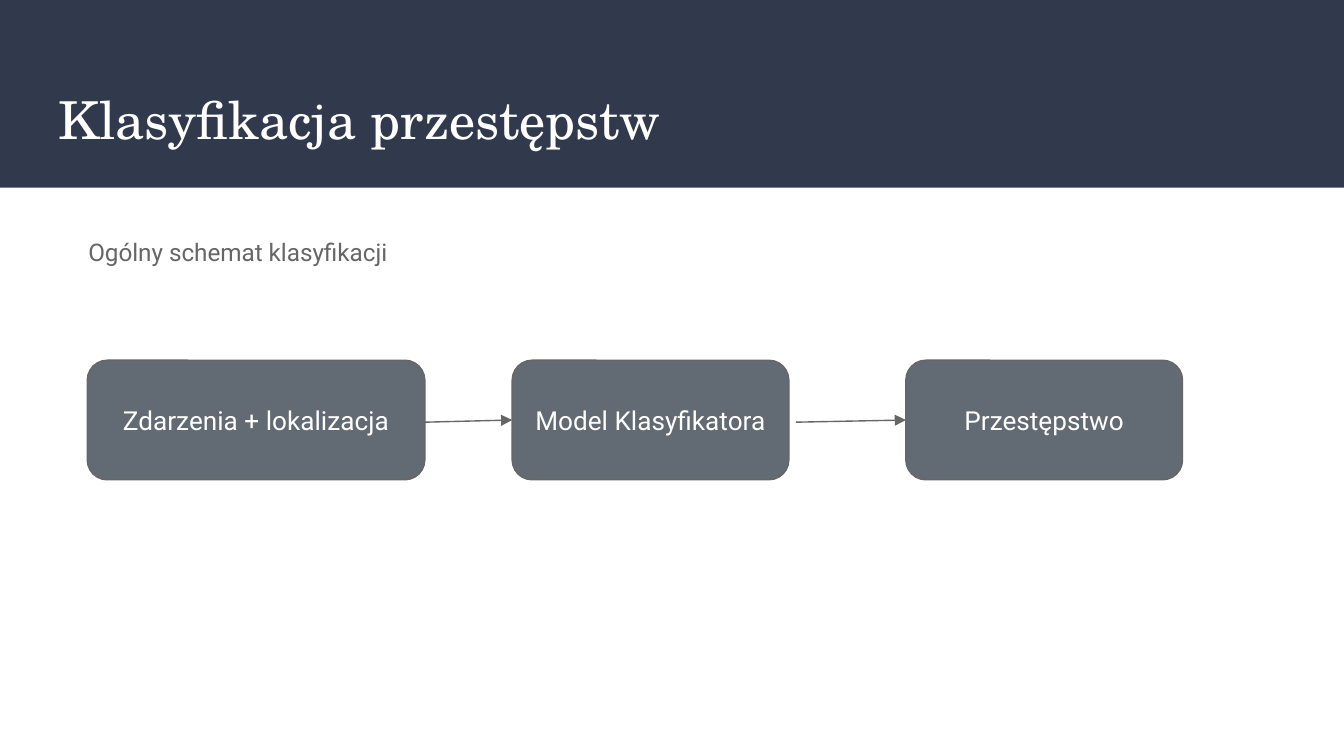
"""Build a slide showing the general scheme of crime classification."""
import pptx
import pptx.dml.color
import pptx.enum.shapes
import pptx.enum.text
import pptx.oxml.ns
import pptx.util
from lxml import etree
from pptx.util import Cm

NAVY = pptx.dml.color.RGBColor(0x31, 0x39, 0x4D)
SLATE = pptx.dml.color.RGBColor(0x62, 0x6B, 0x73)
GREY = pptx.dml.color.RGBColor(0x66, 0x66, 0x66)
WHITE = pptx.dml.color.RGBColor(0xFF, 0xFF, 0xFF)

SHAPE = pptx.enum.shapes.MSO_SHAPE
ALIGN = pptx.enum.text.PP_ALIGN
BODY_FONT = "Roboto"
TITLE_FONT = "TeX Gyre Schola"
LINE_WIDTH = pptx.util.Pt(0.75)

BOX_TOP = Cm(6.81)
BOX_HEIGHT = Cm(2.26)
ARROW_START_Y = Cm(7.98)
BOXES = [
    ("Zdarzenia + lokalizacja", Cm(1.65), Cm(6.38)),
    ("Model Klasyfikatora", Cm(9.68), Cm(5.23)),
    ("Przestępstwo", Cm(17.12), Cm(5.23)),
]
ARROW_STARTS = [Cm(8.03), Cm(15.04)]


def set_text(shape, text, font_name, size, color, alignment=ALIGN.LEFT):
    frame = shape.text_frame
    frame.word_wrap = True
    frame.margin_left = frame.margin_right = Cm(0.25)
    frame.margin_top = frame.margin_bottom = Cm(0.25)
    frame.text = text
    paragraph = frame.paragraphs[0]
    paragraph.alignment = alignment
    font = paragraph.runs[0].font
    font.name = font_name
    font.size = pptx.util.Pt(size)
    font.color.rgb = color


def add_text(slide, text, left, top, width, height, font_name, size, color):
    shape = slide.shapes.add_textbox(left, top, width, height)
    set_text(shape, text, font_name, size, color)


def add_header_band(slide, width):
    band = slide.shapes.add_shape(SHAPE.RECTANGLE, 0, 0, width, Cm(3.55))
    band.shadow.inherit = False
    band.fill.solid()
    band.fill.fore_color.rgb = NAVY
    band.line.fill.background()


def add_box(slide, text, left, width):
    box = slide.shapes.add_shape(
        SHAPE.ROUNDED_RECTANGLE, left, BOX_TOP, width, BOX_HEIGHT)
    box.shadow.inherit = False
    box.fill.solid()
    box.fill.fore_color.rgb = SLATE
    box.line.color.rgb = GREY
    box.line.width = LINE_WIDTH
    set_text(box, text, BODY_FONT, 14, WHITE, ALIGN.CENTER)
    box.text_frame.vertical_anchor = pptx.enum.text.MSO_ANCHOR.MIDDLE
    return box


def add_arrow(slide, start_x, target):
    arrow = slide.shapes.add_connector(
        pptx.enum.shapes.MSO_CONNECTOR.STRAIGHT, start_x, ARROW_START_Y,
        target.left, target.top + target.height // 2)
    arrow.end_connect(target, 1)
    arrow.line.color.rgb = GREY
    arrow.line.width = LINE_WIDTH
    line = arrow.line._get_or_add_ln()
    etree.SubElement(line, pptx.oxml.ns.qn("a:tailEnd"), type="triangle")
    etree.SubElement(arrow._element.spPr, pptx.oxml.ns.qn("a:effectLst"))


def main():
    presentation = pptx.Presentation()
    presentation.slide_width = Cm(25.4)
    presentation.slide_height = Cm(14.29)
    slide = presentation.slides.add_slide(presentation.slide_layouts[6])

    add_header_band(slide, presentation.slide_width)
    add_text(slide, "Klasyfikacja przestępstw", Cm(0.86), Cm(1.4),
             Cm(23.67), Cm(1.73), TITLE_FONT, 28, WHITE)
    add_text(slide, "Ogólny schemat klasyfikacji", Cm(1.42), Cm(4.24),
             Cm(11.73), Cm(1.07), BODY_FONT, 13, GREY)

    boxes = [add_box(slide, *box) for box in BOXES]
    for start_x, target in zip(ARROW_STARTS, boxes[1:]):
        add_arrow(slide, start_x, target)

    presentation.save("out.pptx")


if __name__ == "__main__":
    main()
